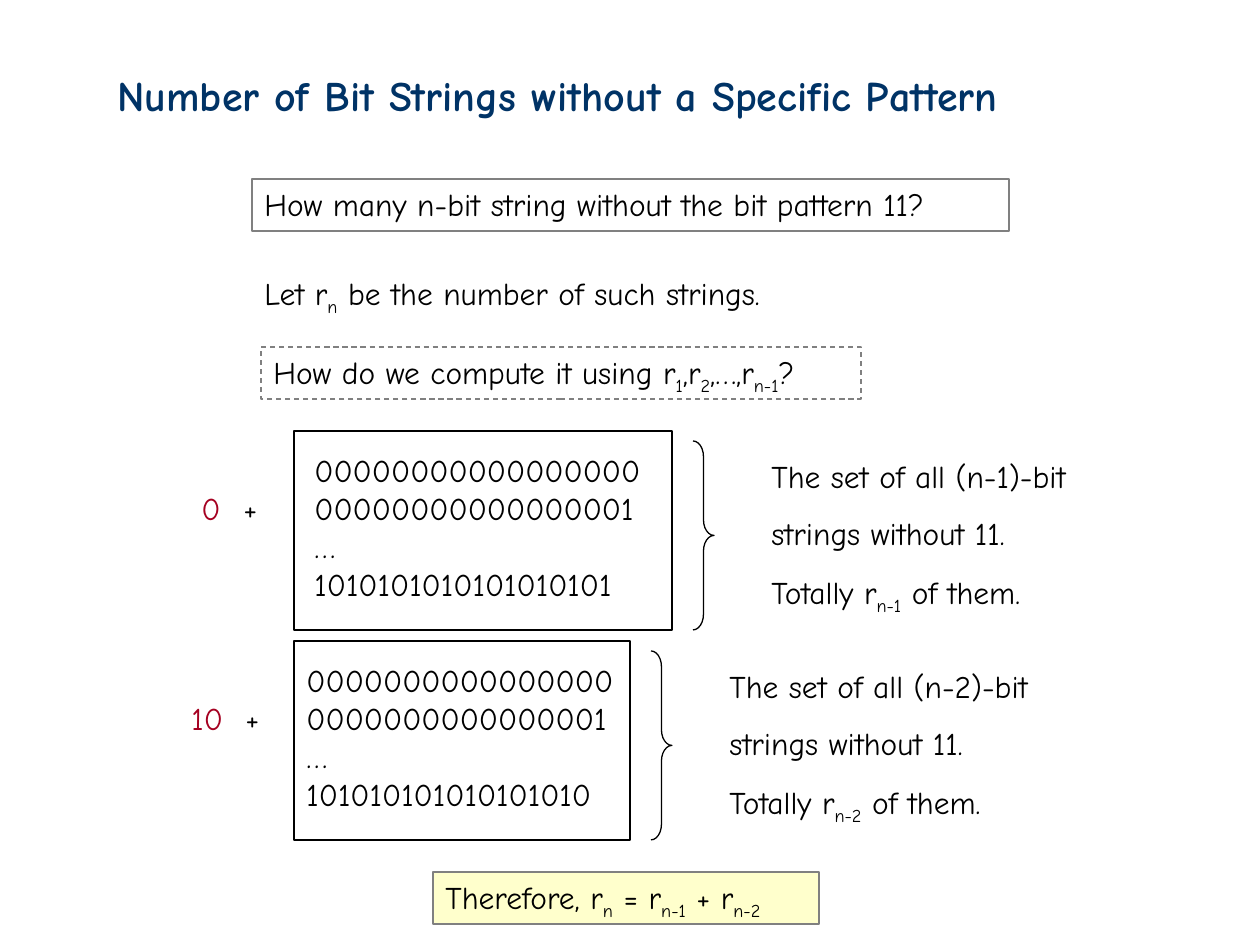
from pptx import Presentation
from pptx import util as u
from pptx.dml.color import RGBColor
from pptx.enum import dml, shapes, text

BLACK, GRAY, NAVY, RED, CREAM = "000000", "808080", "003366", "A50021", "FFFFCC"


def px(n):
    return u.Emu(round(n * 914400 / 126))


def rgb(value):
    return RGBColor.from_string(value)


class Deck:
    font = "Comic Neue"
    size = 18

    def __init__(self, width, height):
        self.prs = Presentation()
        self.prs.slide_width, self.prs.slide_height = px(width), px(height)
        self.s = self.prs.slides.add_slide(self.prs.slide_layouts[6])

    def set_text(self, tf, lines, color=BLACK, size=size, bold=False, spacing=None):
        tf.word_wrap = True
        tf.vertical_anchor = text.MSO_ANCHOR.TOP
        for i, line in enumerate(lines):
            p = tf.paragraphs[0] if i == 0 else tf.add_paragraph()
            p.alignment = text.PP_ALIGN.LEFT
            p.font.name, p.font.size, p.font.bold = self.font, u.Pt(size), bold
            p.font.color.rgb = rgb(color)
            if i and spacing:
                p.line_spacing = spacing
            for j, part in enumerate(line.split("_")):
                if part:
                    r = p.add_run()
                    r.text = part
                    if j % 2:
                        r._r.get_or_add_rPr().set("baseline", "-25000")

    def label(self, x, y, w, h, *lines, **style):
        sp = self.s.shapes.add_textbox(px(x), px(y), px(w), px(h))
        self.set_text(sp.text_frame, lines, **style)

    def shape(self, kind, x, y, w, h, line=BLACK, fill=None, dash=None):
        sp = self.s.shapes.add_shape(kind, px(x), px(y), px(w), px(h))
        sp.shadow.inherit = False
        if fill:
            sp.fill.solid()
            sp.fill.fore_color.rgb = rgb(fill)
        else:
            sp.fill.background()
        sp.line.color.rgb = rgb(line)
        sp.line.width = u.Pt(0.75)
        if dash:
            sp.line.dash_style = dash
        return sp

    def box(self, x, y, w, h, *lines, **style):
        sp = self.shape(shapes.MSO_SHAPE.RECTANGLE, x, y, w, h, **style)
        self.set_text(sp.text_frame, lines)

    def brace(self, x, y, w, h):
        sp = self.shape(shapes.MSO_SHAPE.RIGHT_BRACE, x, y, w, h)
        sp.adjustments[0], sp.adjustments[1] = 0.75, 0.5

    def case(self, y, w, prefix, prefix_x, prefix_w, plus_x, bits_x, strings, rest):
        x = 294
        right = x + w
        self.label(prefix_x, y + 52, prefix_w, 50, prefix, color=RED)
        self.label(plus_x, y + 52, 40, 50, "+")
        self.box(x, y, w, 199)
        self.label(bits_x, y + 14, right - bits_x, 164, *strings)
        self.brace(right + 21, y + 10, 21, 189)
        self.label(right + 87, y + 20, 370, 164,
                   f"The set of all ({rest})-bit", "strings without 11.",
                   f"Totally r_{rest}_ of them.", spacing=1.5)


def main():
    d = Deck(1260, 945)
    d.label(105, 63, 1042, 63, "Number of Bit Strings without a Specific Pattern",
            color=NAVY, size=24, bold=True)
    d.box(252, 179, 757, 52, "How many n-bit string without the bit pattern 11?", line=GRAY)
    d.label(252, 268, 570, 50, "Let r_n_ be the number of such strings.")
    d.box(261, 347, 600, 52, "How do we compute it using r_1_,r_2_,…,r_n-1_?",
          line=GRAY, dash=dml.MSO_LINE.DASH)
    d.case(431, 378, "0", 189, 44, 231, 302,
           ["00000000000000000", "00000000000000001", "…", "1010101010101010101"], "n-1")
    d.case(641, 336, "10", 179, 59, 233, 294,
           ["0000000000000000", "0000000000000001", "…", "101010101010101010"], "n-2")
    d.box(433, 872, 386, 52, "Therefore, r_n_ = r_n-1_ + r_n-2_", line=GRAY, fill=CREAM)
    d.prs.save("out.pptx")


if __name__ == "__main__":
    main()
